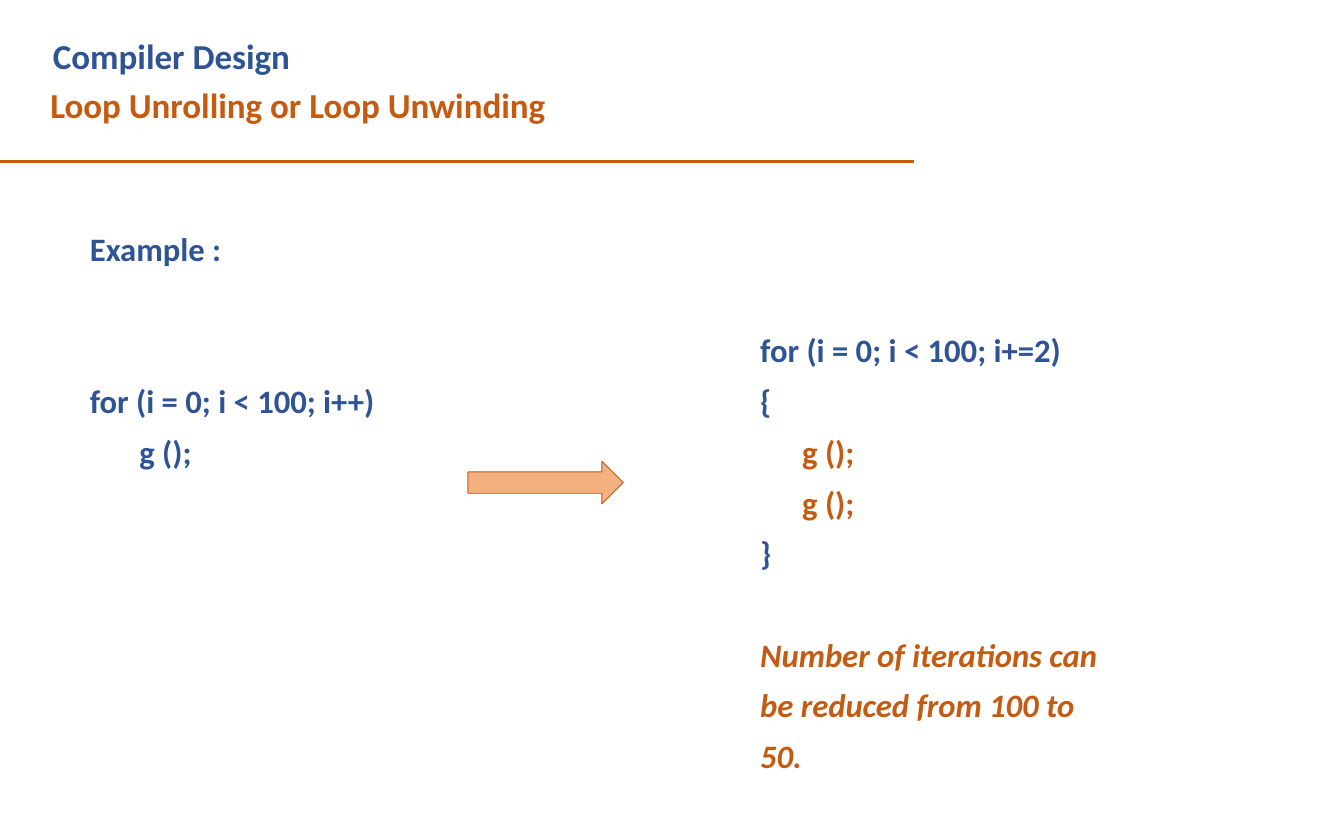
from lxml.etree import SubElement
from pptx import Presentation
from pptx.dml.color import RGBColor
from pptx.enum.shapes import MSO_CONNECTOR, MSO_SHAPE
from pptx.enum.text import MSO_ANCHOR, MSO_AUTO_SIZE, PP_ALIGN
from pptx.oxml.ns import qn
from pptx.util import Inches, Pt

COLORS = {
    name: RGBColor.from_string(value)
    for name, value in {"blue": "2F5496", "orange": "C55A11", "peach": "F4B081"}.items()
}
LEFT_COLUMN, RIGHT_COLUMN = 1.06, 9.04
CODE_GAP = 9.9
CODE_SPACING = 1.29


def place(box, left, top, width, height, top_inset):
    box.left, box.top = Inches(left), Inches(top)
    box.width, box.height = Inches(width), Inches(height)
    frame = box.text_frame
    frame.word_wrap = True
    frame.auto_size = MSO_AUTO_SIZE.NONE
    frame.vertical_anchor = MSO_ANCHOR.TOP
    frame.margin_left = frame.margin_right = frame.margin_bottom = 0
    frame.margin_top = Inches(top_inset)


def write(box, lines, size):
    """Fill box with lines of (text, color, indent, space before, line spacing, italic)."""
    frame = box.text_frame
    for number, (text, color, indent, before, spacing, italic) in enumerate(lines):
        para = frame.add_paragraph() if number else frame.paragraphs[0]
        para.text = text
        para.alignment = PP_ALIGN.LEFT
        para.space_before = Pt(before)
        para.line_spacing = spacing
        properties = para._p.get_or_add_pPr()
        properties.set("marL", str(Inches(indent)))
        properties.set("indent", "0")
        SubElement(properties, qn("a:buNone"))
        font = para.font
        font.name, font.size = "Calibri", Pt(size)
        font.bold, font.italic = True, italic
        font.color.rgb = COLORS[color]


deck = Presentation()
deck.slide_width, deck.slide_height = Inches(16), Inches(10)
page = deck.slides.add_slide(deck.slide_layouts[1])

title = page.shapes.title
place(title, 0.59, 0.31, 5.93, 1.19, 0.1)
write(title, [
    ("Compiler Design", "blue", 0.04, 0, 1.0, False),
    ("Loop Unrolling or Loop Unwinding", "orange", 0.01, 6, 1.0, False),
], 30)

rule = page.shapes.add_connector(
    MSO_CONNECTOR.STRAIGHT, 0, Inches(1.92), Inches(10.88), Inches(1.92))
rule.line.color.rgb = COLORS["orange"]
rule.line.width = Pt(3)
SubElement(rule._element.spPr, qn("a:effectLst"))

example = page.shapes.add_textbox(0, 0, 0, 0)
place(example, LEFT_COLUMN, 2.71, 1.59, 0.49, 0.01)
write(example, [("Example :", "blue", 0.01, 0, 1.0, False)], 28)

rolled_loop = page.shapes.add_textbox(0, 0, 0, 0)
place(rolled_loop, LEFT_COLUMN, 4.39, 3.5, 1.24, 0.01)
write(rolled_loop, [
    ("for (i = 0; i < 100; i++)", "blue", 0.01, 0, CODE_SPACING, False),
    ("g ();", "blue", 0.6, 0, CODE_SPACING, False),
], 28)

unrolled_loop = page.placeholders[1]
place(unrolled_loop, RIGHT_COLUMN, 3.78, 4.04, 5.47, 0.15)
write(unrolled_loop, [
    ("for (i = 0; i < 100; i+=2)", "blue", 0.01, 0, 1.0, False),
    ("{", "blue", 0.01, CODE_GAP, 1.0, False),
    ("g ();", "orange", 0.51, CODE_GAP, 1.0, False),
    ("g ();", "orange", 0.51, CODE_GAP, 1.0, False),
    ("}", "blue", 0.01, CODE_GAP, 1.0, False),
    ("Number of iterations can be reduced from 100 to 50.",
     "orange", 0.01, 43.4, CODE_SPACING, True),
], 28)

arrow = page.shapes.add_shape(
    MSO_SHAPE.RIGHT_ARROW, Inches(5.57), Inches(5.49), Inches(1.85), Inches(0.51))
arrow.shadow.inherit = False
arrow.fill.solid()
arrow.fill.fore_color.rgb = COLORS["peach"]
arrow.line.color.rgb = COLORS["orange"]
arrow.line.width = Pt(0.75)

deck.save("out.pptx")
